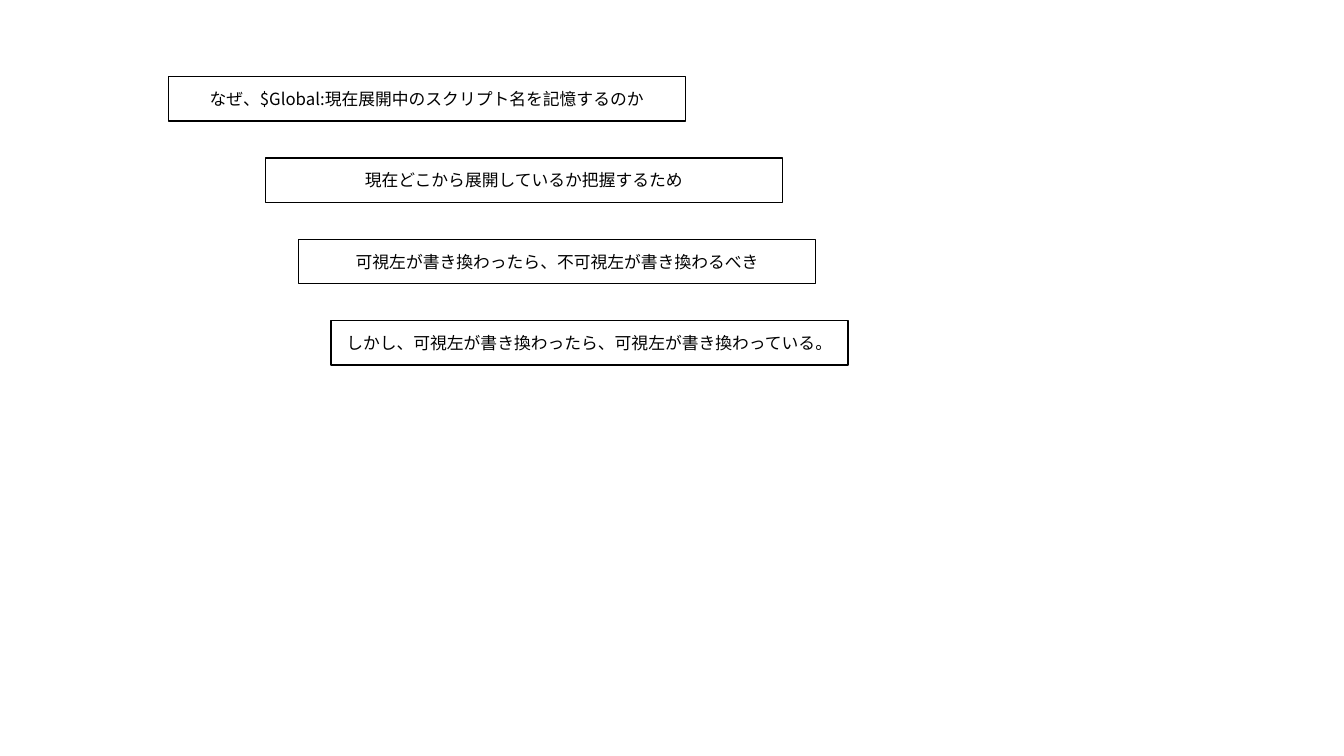
import dataclasses

import lxml.etree
import pptx
import pptx.dml.color
import pptx.enum.shapes
import pptx.enum.text
import pptx.oxml.ns
import pptx.slide
import pptx.util

Cm = pptx.util.Cm
Color = pptx.dml.color.RGBColor


@dataclasses.dataclass(frozen=True)
class Theme:
    font: str = "Noto Sans CJK JP"
    size: pptx.util.Length = pptx.util.Pt(12)
    line: pptx.util.Length = pptx.util.Pt(1)
    ink: Color = Color(0, 0, 0)
    paper: Color = Color(255, 255, 255)


@dataclasses.dataclass(frozen=True)
class Step:
    text: str
    left: float


THEME = Theme()
TOP, PITCH = 1.93, 2.05
WIDTH, HEIGHT = 13.03, 1.12
STEPS = (
    Step("なぜ、$Global:現在展開中のスクリプト名を記憶するのか", 4.24),
    Step("現在どこから展開しているか把握するため", 6.69),
    Step("可視左が書き換わったら、不可視左が書き換わるべき", 7.53),
    Step("しかし、可視左が書き換わったら、可視左が書き換わっている。", 8.34),
)


def draw_step(slide: pptx.slide.Slide, step: Step, top: float) -> None:
    box = slide.shapes.add_shape(
        pptx.enum.shapes.MSO_SHAPE.RECTANGLE,
        Cm(step.left), Cm(top), Cm(WIDTH), Cm(HEIGHT),
    )
    box.shadow.inherit = False
    box.fill.solid()
    box.fill.fore_color.rgb = THEME.paper
    box.line.color.rgb = THEME.ink
    box.line.width = THEME.line

    frame = box.text_frame
    frame.word_wrap = True
    frame.vertical_anchor = pptx.enum.text.MSO_ANCHOR.MIDDLE
    para = frame.paragraphs[0]
    para.text = step.text
    para.alignment = pptx.enum.text.PP_ALIGN.CENTER
    font = para.font
    font.size = THEME.size
    font.color.rgb = THEME.ink
    font.name = THEME.font
    props = para._p.pPr.find(pptx.oxml.ns.qn("a:defRPr"))
    lxml.etree.SubElement(props, pptx.oxml.ns.qn("a:ea"), typeface=THEME.font)


def main() -> None:
    deck = pptx.Presentation()
    deck.slide_width = Cm(33.87)
    deck.slide_height = Cm(19.05)
    slide = deck.slides.add_slide(deck.slide_layouts[6])
    for row, step in enumerate(STEPS):
        draw_step(slide, step, TOP + row * PITCH)
    deck.save("out.pptx")


if __name__ == "__main__":
    main()
